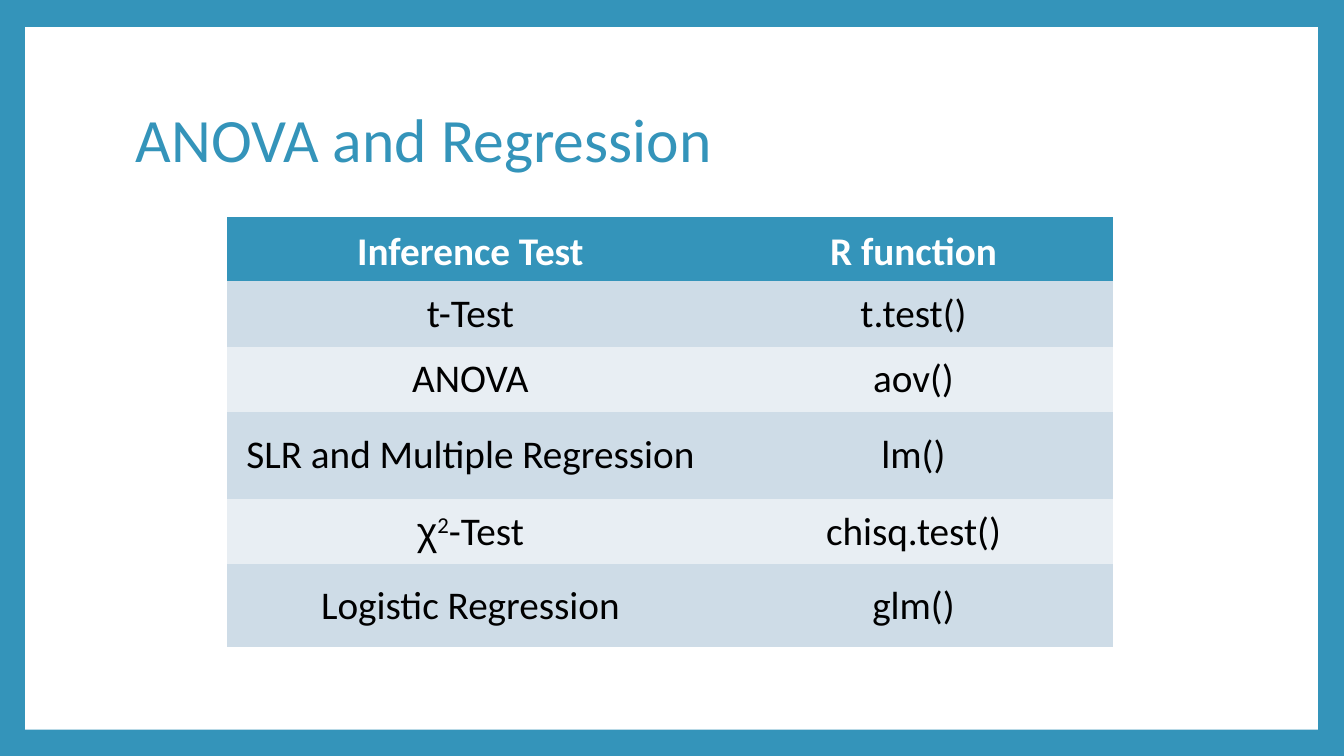
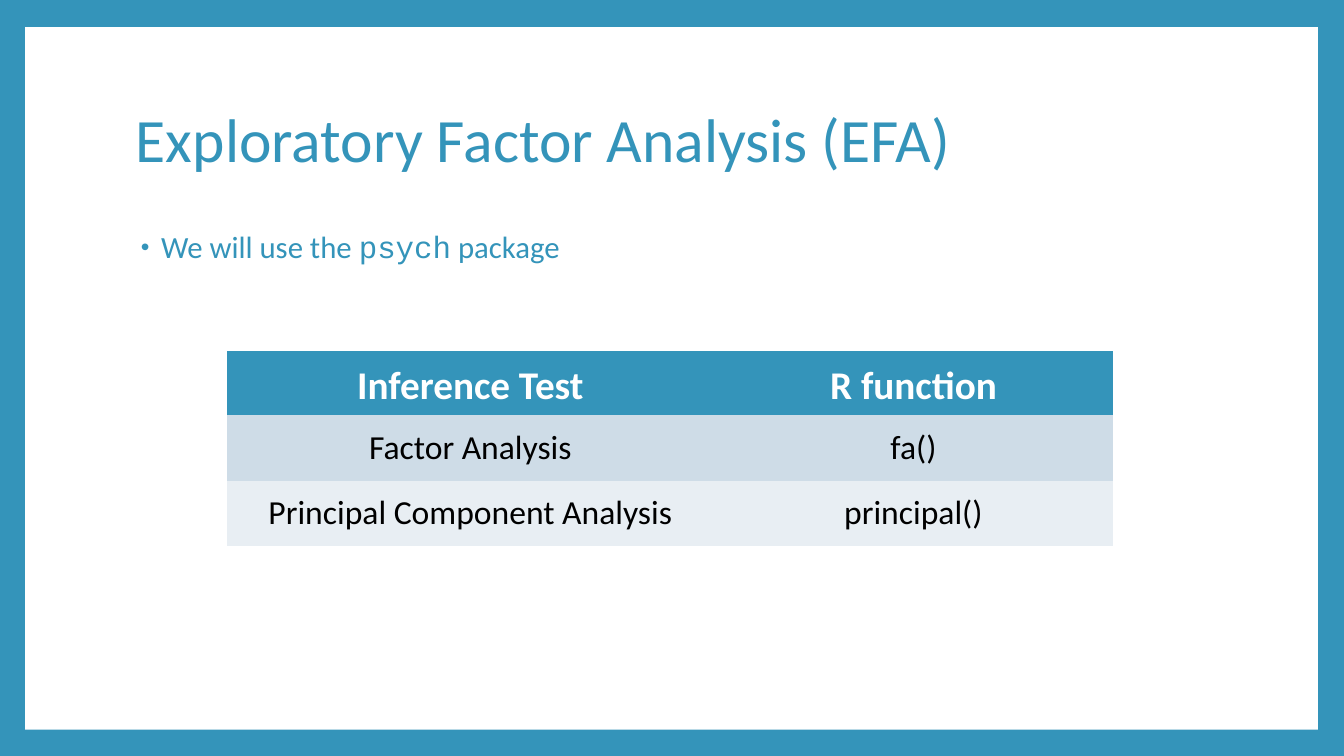
from pptx import Presentation
from pptx.dml.color import RGBColor
from pptx.enum.shapes import MSO_SHAPE as Preset
from pptx.enum.text import MSO_ANCHOR as Anchor, PP_ALIGN as Align
from pptx.oxml.ns import qn
from pptx.util import Inches, Pt
from lxml import etree

ACCENT = "3494BA"
WHITE = "FFFFFF"
BLACK = "000000"
BANDS = ("CEDCE7", "E8EEF3")
FONT = "Calibri"
PLAIN_TABLE_STYLE = "{2D5ABB26-0587-4C30-8999-92F81FD0307C}"

HEADER = ("Inference Test", "R function")
COLUMN_WIDTHS = (4.83, 3.96)
TABLE_LEFT = 2.25
HEADER_HEIGHT = 0.64
ROW_HEIGHT = 0.65

CHI_SQUARED_TEST = [("χ", "Arial", 0), ("2", FONT, 30), ("-Test", FONT, 0)]
REGRESSION_ROWS = [
    ("t-Test", "t.test()", ROW_HEIGHT),
    ("ANOVA", "aov()", ROW_HEIGHT),
    ("SLR and Multiple Regression", "lm()", 0.86),
    (CHI_SQUARED_TEST, "chisq.test()", ROW_HEIGHT),
    ("Logistic Regression", "glm()", 0.82),
]
FACTOR_ROWS = [
    ("Factor Analysis", "fa()", ROW_HEIGHT),
    ("Principal Component Analysis", "principal()", ROW_HEIGHT),
]


def paint(color_format, color):
    color_format.rgb = RGBColor.from_string(color)


def fill_solid(fill, color):
    fill.solid()
    paint(fill.fore_color, color)


def write(paragraph, content, size, color, bold=False):
    paragraph.font.name = FONT
    paragraph.font.size = Pt(size)
    paragraph.font.bold = bold
    paint(paragraph.font.color, color)
    runs = [(content, FONT, 0)] if isinstance(content, str) else content
    for text, font_name, raised in runs:
        run = paragraph.add_run()
        run.text = text
        if font_name != FONT:
            run.font.name = font_name
        if raised:
            run._r.get_or_add_rPr().set("baseline", str(raised * 1000))


def add_text(slide, left, top, width, height, content, size, anchor):
    box = slide.shapes.add_textbox(
        Inches(left), Inches(top), Inches(width), Inches(height))
    box.text_frame.word_wrap = True
    box.text_frame.vertical_anchor = anchor
    paragraph = box.text_frame.paragraphs[0]
    paragraph.line_spacing = 0.9
    write(paragraph, content, size, ACCENT)
    return paragraph


def add_bullet(slide, content):
    paragraph = add_text(slide, 1.25, 2.25, 10.8, 4.42, content, 22, Anchor.TOP)
    paragraph.space_before = Pt(14)
    properties = paragraph._p.get_or_add_pPr()
    properties.set("marL", str(Inches(0.25)))
    properties.set("indent", str(Inches(-0.2)))
    color = etree.Element(qn("a:buClr"))
    etree.SubElement(color, qn("a:srgbClr"), val=ACCENT)
    size = etree.Element(qn("a:buSzPct"), val="80000")
    font = etree.Element(qn("a:buFont"), typeface="Arial")
    character = etree.Element(qn("a:buChar"), char="•")
    default_run = properties.find(qn("a:defRPr"))
    for element in (color, size, font, character):
        default_run.addprevious(element)


def fill_cell(cell, content, size, fill, color, anchor, bold):
    fill_solid(cell.fill, fill)
    cell.vertical_anchor = anchor
    paragraph = cell.text_frame.paragraphs[0]
    paragraph.alignment = Align.CENTER
    write(paragraph, content, size, color, bold)


def add_function_table(slide, top, rows, body_size):
    heights = [HEADER_HEIGHT] + [height for _, _, height in rows]
    frame = slide.shapes.add_table(
        len(heights), len(COLUMN_WIDTHS), Inches(TABLE_LEFT), Inches(top),
        Inches(sum(COLUMN_WIDTHS)), Inches(sum(heights)))
    table = frame.table
    table._tbl.tblPr.find(qn("a:tableStyleId")).text = PLAIN_TABLE_STYLE
    for column, width in zip(table.columns, COLUMN_WIDTHS):
        column.width = Inches(width)
    for row, height in zip(table.rows, heights):
        row.height = Inches(height)
    for column, label in enumerate(HEADER):
        fill_cell(table.cell(0, column), label, 28, ACCENT, WHITE,
                  Anchor.BOTTOM, True)
    for index, (test, function, _) in enumerate(rows):
        for column, content in enumerate((test, function)):
            fill_cell(table.cell(index + 1, column), content, body_size,
                      BANDS[index % 2], BLACK, Anchor.MIDDLE, False)


def add_framed_slide(presentation, title):
    slide = presentation.slides.add_slide(presentation.slide_layouts[6])
    panel = slide.shapes.add_shape(
        Preset.RECTANGLE, Inches(0.25), Inches(0.27), Inches(12.82), Inches(6.97))
    panel.shadow.inherit = False
    fill_solid(panel.fill, WHITE)
    panel.line.fill.background()
    add_text(slide, 1.25, 0.67, 10.8, 1.48, title, 44, Anchor.MIDDLE)
    return slide


def main():
    presentation = Presentation()
    presentation.slide_width = Inches(13.33)
    presentation.slide_height = Inches(7.5)
    fill_solid(presentation.slide_master.background.fill, ACCENT)

    regression = add_framed_slide(presentation, "ANOVA and Regression")
    add_function_table(regression, 2.15, REGRESSION_ROWS, 28)

    factors = add_framed_slide(presentation, "Exploratory Factor Analysis (EFA)")
    add_bullet(factors, [("We will use the ", FONT, 0),
                         ("psych", "Courier New", 0),
                         (" package", FONT, 0)])
    add_function_table(factors, 3.48, FACTOR_ROWS, 24)

    presentation.save("out.pptx")


if __name__ == "__main__":
    main()
